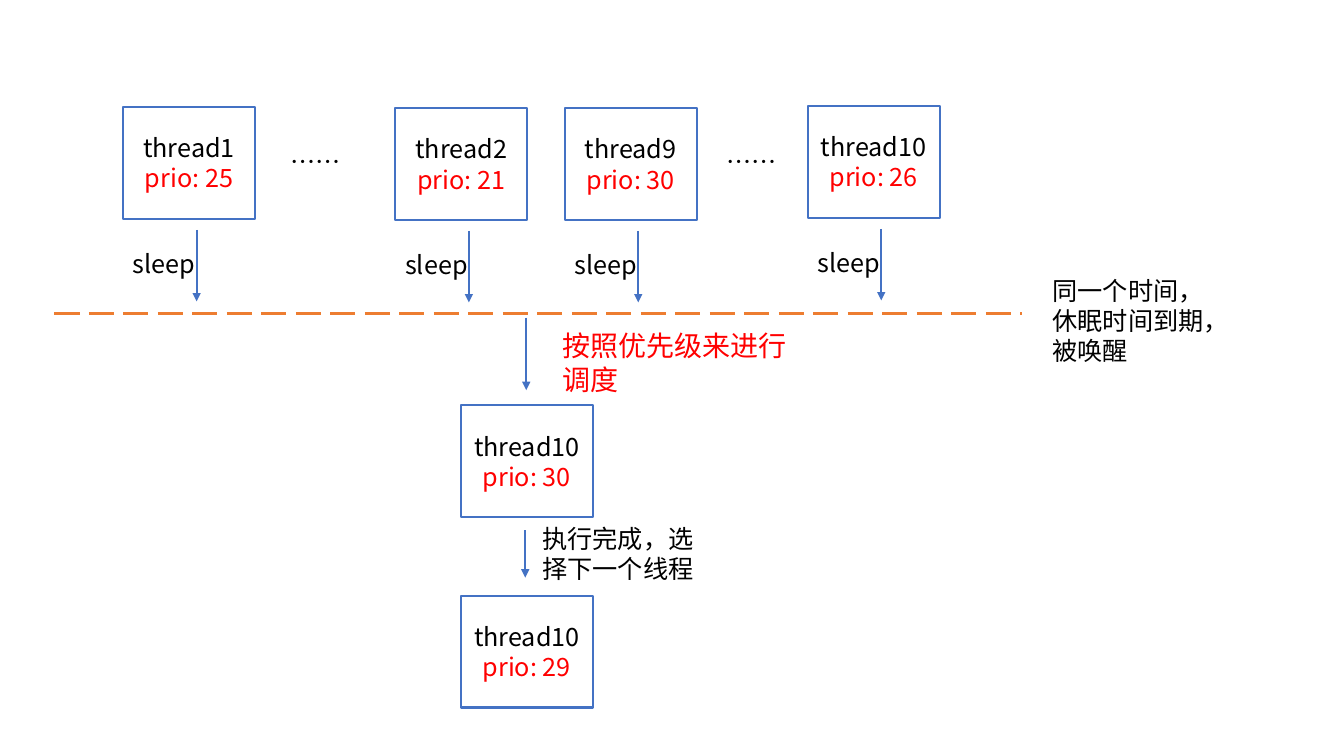
from pptx import Presentation
from pptx import util as u
from pptx.dml.color import RGBColor
from pptx.enum import dml, shapes, text
from pptx.oxml.ns import qn
from lxml import etree

PX = 9144
FONT = "Noto Sans CJK SC"
COLORS = {"paper": "FFFFFF", "ink": "000000", "alert": "FF0000",
          "frame": "4472C4", "wake": "ED7D31"}
BOX_W, BOX_H = 131, 111


def px(*values):
    return [u.Emu(value * PX) for value in values]


def color(name):
    return RGBColor.from_string(COLORS[name])


def write(para, words, size=18, ink="ink"):
    para.text = words
    para.font.size = u.Pt(size)
    para.font.name = FONT
    para.font.color.rgb = color(ink)
    defaults = para._p.pPr.find(qn("a:defRPr"))
    etree.SubElement(defaults, qn("a:ea")).set("typeface", FONT)


def add_label(page, box, words, size=18, ink="ink"):
    label = page.shapes.add_textbox(*px(*box))
    frame = label.text_frame
    frame.word_wrap = True
    frame.auto_size = text.MSO_AUTO_SIZE.SHAPE_TO_FIT_TEXT
    write(frame.paragraphs[0], words, size, ink)


def add_line(page, start, end, ink="frame", weight=1.5):
    line = page.shapes.add_connector(
        shapes.MSO_CONNECTOR.STRAIGHT, *px(*start, *end))
    line.line.color.rgb = color(ink)
    line.line.width = u.Pt(weight)
    etree.SubElement(line._element.spPr, qn("a:effectLst"))
    return line


def add_arrow(page, x, top, bottom):
    arrow = add_line(page, (x, top), (x, bottom))
    outline = arrow.line._get_or_add_ln()
    etree.SubElement(outline, qn("a:tailEnd")).set("type", "triangle")


def add_thread(page, left, top, name, priority):
    thread = page.shapes.add_shape(
        shapes.MSO_SHAPE.RECTANGLE, *px(left, top, BOX_W, BOX_H))
    thread.shadow.inherit = False
    thread.fill.solid()
    thread.fill.fore_color.rgb = color("paper")
    thread.line.color.rgb = color("frame")
    thread.line.width = u.Pt(1.5)
    frame = thread.text_frame
    frame.word_wrap = True
    frame.vertical_anchor = text.MSO_ANCHOR.MIDDLE
    title, detail = frame.paragraphs[0], frame.add_paragraph()
    write(title, name)
    write(detail, f"prio: {priority}", ink="alert")
    for para in (title, detail):
        para.alignment = text.PP_ALIGN.CENTER


def add_sleeping_thread(page, left, top, name, priority):
    add_thread(page, left, top, name, priority)
    arrow_top = top + BOX_H + 11
    add_arrow(page, left + 73, arrow_top, arrow_top + 71)
    add_label(page, (left, top + 135, BOX_W, 71), "sleep")


def add_sleep_row(page, left, top):
    threads = [(0, 1, "thread1", 25), (270, 2, "thread2", 21),
               (438, 2, "thread9", 30), (679, 0, "thread10", 26)]
    for dx, dy, name, priority in threads:
        add_sleeping_thread(page, left + dx, top + dy, name, priority)
    for dx in (156, 589):
        add_label(page, (left + dx, top + 35, 106, 40), "……")


def add_wake_line(page, left, top, width):
    wake = add_line(page, (left, top), (left + width, top), "wake", 2.25)
    wake.line.dash_style = dml.MSO_LINE.LONG_DASH
    add_label(page, (left + width + 20, top - 43, 177, 101),
              "同一个时间，休眠时间到期，被唤醒")


def add_schedule(page, left, top):
    add_arrow(page, left + 65, top, top + 72)
    add_label(page, (left + 91, top + 6, 259, 77),
              "按照优先级来进行调度", 20, "alert")
    add_thread(page, left, top + 87, "thread10", 30)
    add_arrow(page, left + 64, top + 211, top + 258)
    add_label(page, (left + 71, top + 199, 177, 71),
              "执行完成，选择下一个线程")
    add_thread(page, left, top + 276, "thread10", 29)


def main():
    deck = Presentation()
    deck.slide_width, deck.slide_height = px(1333, 750)
    page = deck.slides.add_slide(deck.slide_layouts[6])
    add_sleep_row(page, 122, 105)
    add_wake_line(page, 54, 311, 960)
    add_schedule(page, 457, 315)
    deck.save("out.pptx")


if __name__ == "__main__":
    main()
